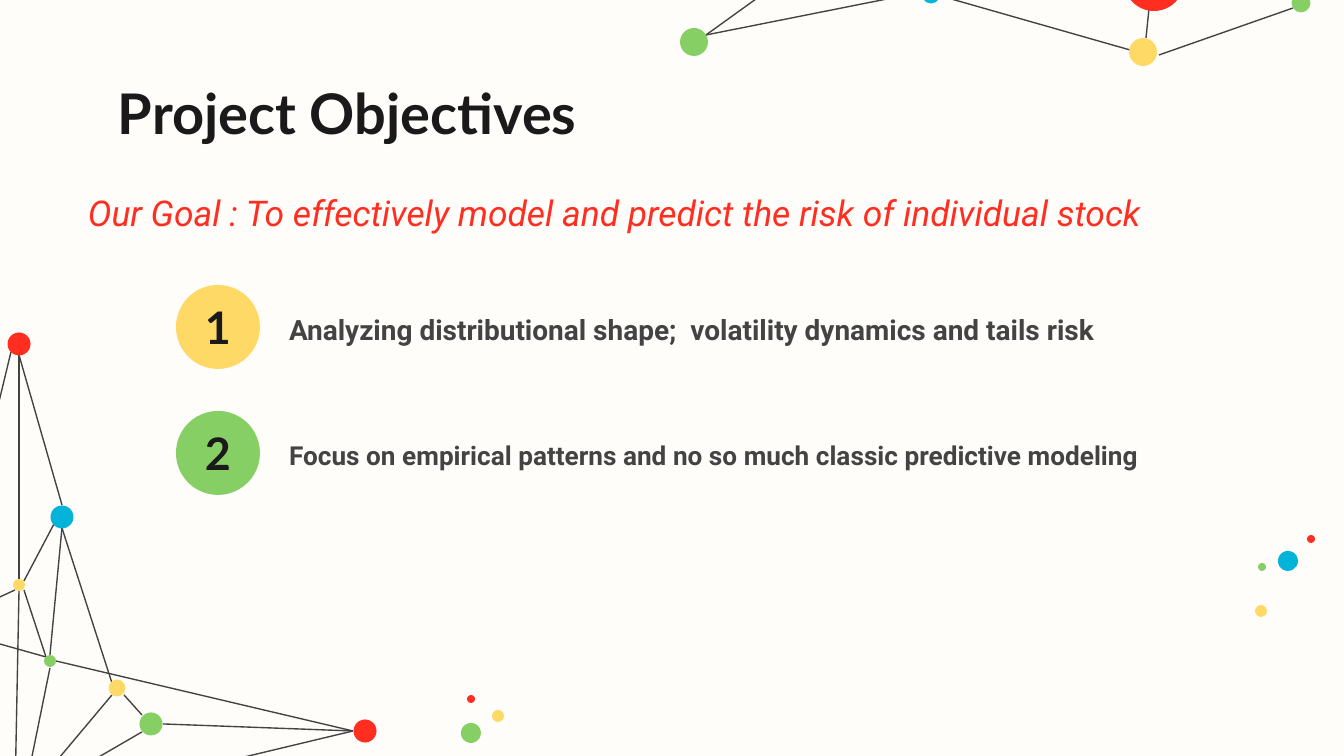
from pptx import Presentation
from pptx.dml.color import RGBColor
from pptx.enum.shapes import MSO_CONNECTOR, MSO_SHAPE
from pptx.enum.text import MSO_ANCHOR, MSO_AUTO_SIZE, PP_ALIGN
from pptx.oxml.ns import qn
from pptx.util import Pt
from lxml.etree import SubElement

PX = 914400 / 134.4
WIDTH, HEIGHT = 1344, 756
RED, YELLOW, GREEN, BLUE = "FF2E20", "FFD966", "86CF64", "04B4D8"
INK, GREY, PAPER = "1A1A1A", "434343", "FEFDFA"

TITLE = "Project Objectives"
GOAL = "Our Goal : To effectively model and predict the risk of individual stock"
OBJECTIVES = [  # text, point size, circle colour
    ("Analyzing distributional shape;  volatility dynamics and tails risk", 15, YELLOW),
    ("Focus on empirical patterns and no so much classic predictive modeling", 14, GREEN),
]
ROW_TOP, ROW_STEP, CIRCLE = 285, 126, 84

# Network lines: x1, y1, x2, y2
LINES = [
    (706, 35, 906, -109), (706, 35, 922, -8), (1293, 8, 1159, 55),
    (1130, 50, 941, -4), (1146, 38, 1149, 9),
    (56, 661, 353, 731), (62, 505, 19, 355), (19, 579, 19, 355),
    (24, 581, 54, 524), (19, 591, 15, 797), (24, 590, 46, 657),
    (23, 801, 50, 668), (27, 809, 353, 731), (112, 695, 23, 801),
    (62, 528, 50, 655), (62, 528, 112, 683), (23, 801, 142, 732),
    (124, 695, 142, 715), (163, 724, 353, 731), (-50, 630, 46, 657),
    (-54, 622, 15, 590), (-54, 622, 11, 352),
]
# Dots: centre x, centre y, diameter, colour
DOTS = [
    (1261, 611, 12, YELLOW), (1288, 561, 20, BLUE), (1311, 539, 8, RED),
    (1262, 567, 8, GREEN), (498, 716, 12, YELLOW), (471, 733, 20, GREEN),
    (471, 699, 8, RED), (694, 42, 28, GREEN), (1154, -19, 60, RED),
    (931, -6, 19, BLUE), (1301, 3, 19, GREEN), (1143, 52, 28, YELLOW),
    (365, 731, 23, RED), (19, 344, 23, RED), (19, 585, 12, YELLOW),
    (62, 517, 23, BLUE), (151, 724, 23, GREEN), (117, 688, 17, YELLOW),
    (50, 661, 12, GREEN),
]


def emu(px):
    return round(px * PX)


def rgb(value):
    return RGBColor.from_string(value)


def place(sp, *box):
    for name, px in zip(("left", "top", "width", "height"), box):
        setattr(sp, name, emu(px))


def write(sp, text, color, size, inset=13, anchor=MSO_ANCHOR.MIDDLE,
          align=PP_ALIGN.LEFT, spacing=1.0, **font):
    tf = sp.text_frame
    frame = dict(word_wrap=True, auto_size=MSO_AUTO_SIZE.NONE, vertical_anchor=anchor)
    frame.update({f"margin_{side}": emu(inset) for side in ("left", "top", "right", "bottom")})
    p = tf.paragraphs[0]
    r = p.add_run()
    r.text = text
    paragraph = dict(alignment=align, line_spacing=spacing, space_before=Pt(0))
    for target, values in ((tf, frame), (p, paragraph), (r.font, dict(size=Pt(size), **font))):
        for name, value in values.items():
            setattr(target, name, value)
    r.font.color.rgb = rgb(color)
    return p


def remove_bullet(p):
    pPr = p._p.get_or_add_pPr()
    pPr.set("marL", "0")
    pPr.set("indent", "0")
    SubElement(pPr, qn("a:buNone"))


def add_line(s, *ends):
    line = s.shapes.add_connector(MSO_CONNECTOR.STRAIGHT, *map(emu, ends))
    line.line.color.rgb = rgb(GREY)
    line.line.width = Pt(0.75)
    SubElement(line._element.spPr, qn("a:effectLst"))


def add_circle(s, left, top, size, color):
    sp = s.shapes.add_shape(MSO_SHAPE.OVAL, emu(left), emu(top), emu(size), emu(size))
    sp.shadow.inherit = False
    sp.fill.solid()
    sp.fill.fore_color.rgb = rgb(color)
    sp.line.fill.background()
    return sp


def main():
    prs = Presentation()
    prs.slide_width, prs.slide_height = emu(WIDTH), emu(HEIGHT)
    s = prs.slides.add_slide(prs.slide_layouts.get_by_name("Two Content"))
    s.background.fill.solid()
    s.background.fill.fore_color.rgb = rgb(PAPER)

    for ends in LINES:
        add_line(s, *ends)
    for x, y, size, color in DOTS:
        add_circle(s, x - size / 2, y - size / 2, size, color)

    title, *bodies = s.placeholders
    place(title, 105, 66, 1134, 85)
    write(title, TITLE, INK, 30, anchor=MSO_ANCHOR.TOP, name="Lato", bold=True)

    goal = s.shapes.add_textbox(*map(emu, (75, 172, 1226, 91)))
    write(goal, GOAL, RED, 19, anchor=MSO_ANCHOR.TOP, spacing=1.15, name="Roboto", italic=True)

    for i, (body, (text, size, color)) in enumerate(zip(bodies, OBJECTIVES)):
        top = ROW_TOP + i * ROW_STEP
        place(body, 276, top, 915, CIRCLE)
        remove_bullet(write(body, text, GREY, size, spacing=1.15, name="Roboto", bold=True))
        circle = add_circle(s, 176, top, CIRCLE, color)
        write(circle, str(i + 1), INK, 24, inset=0, align=PP_ALIGN.CENTER, name="Lato", bold=True)

    prs.save("out.pptx")


if __name__ == "__main__":
    main()
